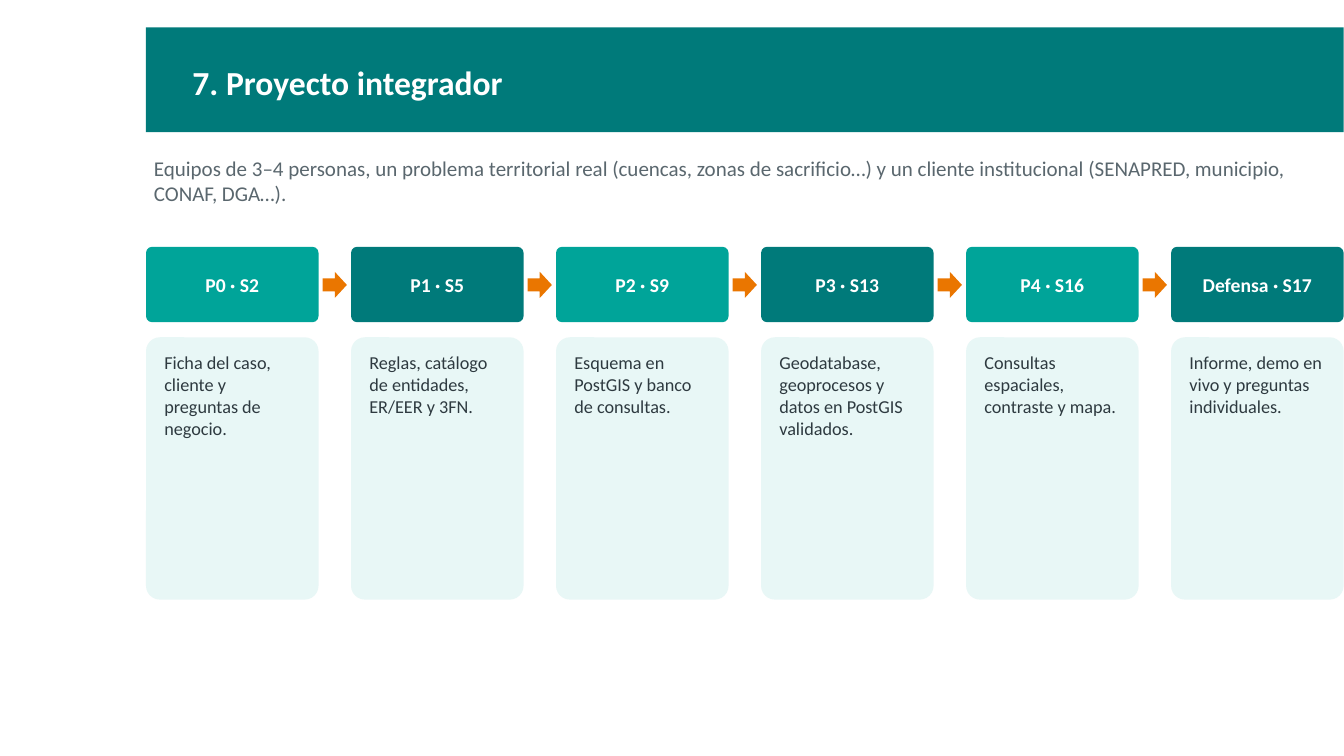
from collections import namedtuple

from pptx import Presentation
from pptx.dml.color import RGBColor
from pptx.enum.shapes import MSO_SHAPE
from pptx.enum.text import MSO_ANCHOR, MSO_AUTO_SIZE, PP_ALIGN
from pptx.util import Cm, Pt

RECTANGLE = MSO_SHAPE.RECTANGLE
ROUNDED = MSO_SHAPE.ROUNDED_RECTANGLE
ARROW = MSO_SHAPE.RIGHT_ARROW
TOP, MIDDLE = MSO_ANCHOR.TOP, MSO_ANCHOR.MIDDLE
LEFT, CENTER = PP_ALIGN.LEFT, PP_ALIGN.CENTER
NO_AUTOFIT = MSO_AUTO_SIZE.NONE

COLORS = {
    "teal": "007A7A",
    "aqua": "00A499",
    "mint": "E8F7F6",
    "orange": "EA7600",
    "white": "FFFFFF",
    "gray": "5A676E",
    "ink": "2E3A40",
}
TITLE_STYLE = {"size": Pt(24), "bold": True, "name": "Calibri"}
INTRO_STYLE = {"size": Pt(15), "bold": False, "name": "Calibri"}
STAGE_STYLE = {"size": Pt(14), "bold": True, "name": "Calibri"}
DETAIL_STYLE = {"size": Pt(13), "bold": False, "name": "Calibri"}

STAGES = [
    ("P0 · S2", "Ficha del caso, cliente y preguntas de negocio."),
    ("P1 · S5", "Reglas, catálogo de entidades, ER/EER y 3FN."),
    ("P2 · S9", "Esquema en PostGIS y banco de consultas."),
    ("P3 · S13", "Geodatabase, geoprocesos y datos en PostGIS validados."),
    ("P4 · S16", "Consultas espaciales, contraste y mapa."),
    ("Defensa · S17", "Informe, demo en vivo y preguntas individuales."),
]

Box = namedtuple("Box", "left top width height")


def to_lengths(box):
    return [Cm(value) for value in box]


def add_panel(page, kind, box, color):
    panel = page.shapes.add_shape(kind, *to_lengths(box))
    panel.shadow.inherit = False
    panel.fill.solid()
    panel.fill.fore_color.rgb = RGBColor.from_string(COLORS[color])
    panel.line.fill.background()
    if kind == ROUNDED:
        panel.adjustments[0] = 0.08
    return panel


def write_text(shape, text, style, color, anchor=TOP, align=LEFT, inset=(0.2, 0.1)):
    side, edge = (Cm(value) for value in inset)
    frame = shape.text_frame
    frame_format = {
        "word_wrap": True,
        "auto_size": NO_AUTOFIT,
        "vertical_anchor": anchor,
        "margin_left": side,
        "margin_right": side,
        "margin_top": edge,
        "margin_bottom": edge,
    }
    for name, value in frame_format.items():
        setattr(frame, name, value)
    para = frame.paragraphs[0]
    para.alignment = align
    para.space_after = Pt(6)
    span = para.add_run()
    span.text = text
    for name, value in style.items():
        setattr(span.font, name, value)
    span.font.color.rgb = RGBColor.from_string(COLORS[color])


def add_title_band(page, box, text):
    band = add_panel(page, RECTANGLE, box, "teal")
    title = page.shapes.title
    title.element.addprevious(band.element)
    area = Box(box.left + 0.97, box.top + 0.28, box.width - 2.49, box.height - 0.43)
    title.left, title.top, title.width, title.height = to_lengths(area)
    write_text(title, text, TITLE_STYLE, "white", MIDDLE)


def add_intro(page, box, text):
    intro = page.shapes.add_textbox(*to_lengths(box))
    write_text(intro, text, INTRO_STYLE, "gray")


def add_stage(page, box, name, detail, color):
    header_height, spacing = 1.9, 0.38
    header = add_panel(page, ROUNDED, box._replace(height=header_height), color)
    write_text(header, name, STAGE_STYLE, "white", MIDDLE, CENTER, (0.15, 0.05))
    offset = header_height + spacing
    card_box = box._replace(top=box.top + offset, height=box.height - offset)
    card = add_panel(page, ROUNDED, card_box, "mint")
    write_text(card, detail, DETAIL_STYLE, "ink", inset=(0.36, 0.25))


def add_timeline(page, box, stages):
    gap, arrow_width, arrow_height, arrow_center = 0.82, 0.61, 0.66, 0.96
    width = (box.width - gap * (len(stages) - 1)) / len(stages)
    for index, (name, detail) in enumerate(stages):
        left = box.left + index * (width + gap)
        if index:
            arrow_left = left - (gap + arrow_width) / 2
            arrow_top = box.top + arrow_center - arrow_height / 2
            arrow_box = Box(arrow_left, arrow_top, arrow_width, arrow_height)
            add_panel(page, ARROW, arrow_box, "orange")
        color = "teal" if index % 2 else "aqua"
        add_stage(page, box._replace(left=left, width=width), name, detail, color)


def main():
    deck = Presentation()
    deck.slide_width, deck.slide_height = Cm(33.87), Cm(19.05)
    page = deck.slides.add_slide(deck.slide_layouts[5])
    left, width = 3.68, 30.18
    add_title_band(page, Box(left, 0.69, width, 2.64), "7. Proyecto integrador")
    add_intro(
        page,
        Box(left, 3.81, width, 1.78),
        "Equipos de 3–4 personas, un problema territorial real (cuencas, zonas de "
        "sacrificio…) y un cliente institucional (SENAPRED, municipio, CONAF, DGA…).",
    )
    add_timeline(page, Box(left, 6.22, width, 8.89), STAGES)
    deck.save("out.pptx")


if __name__ == "__main__":
    main()
